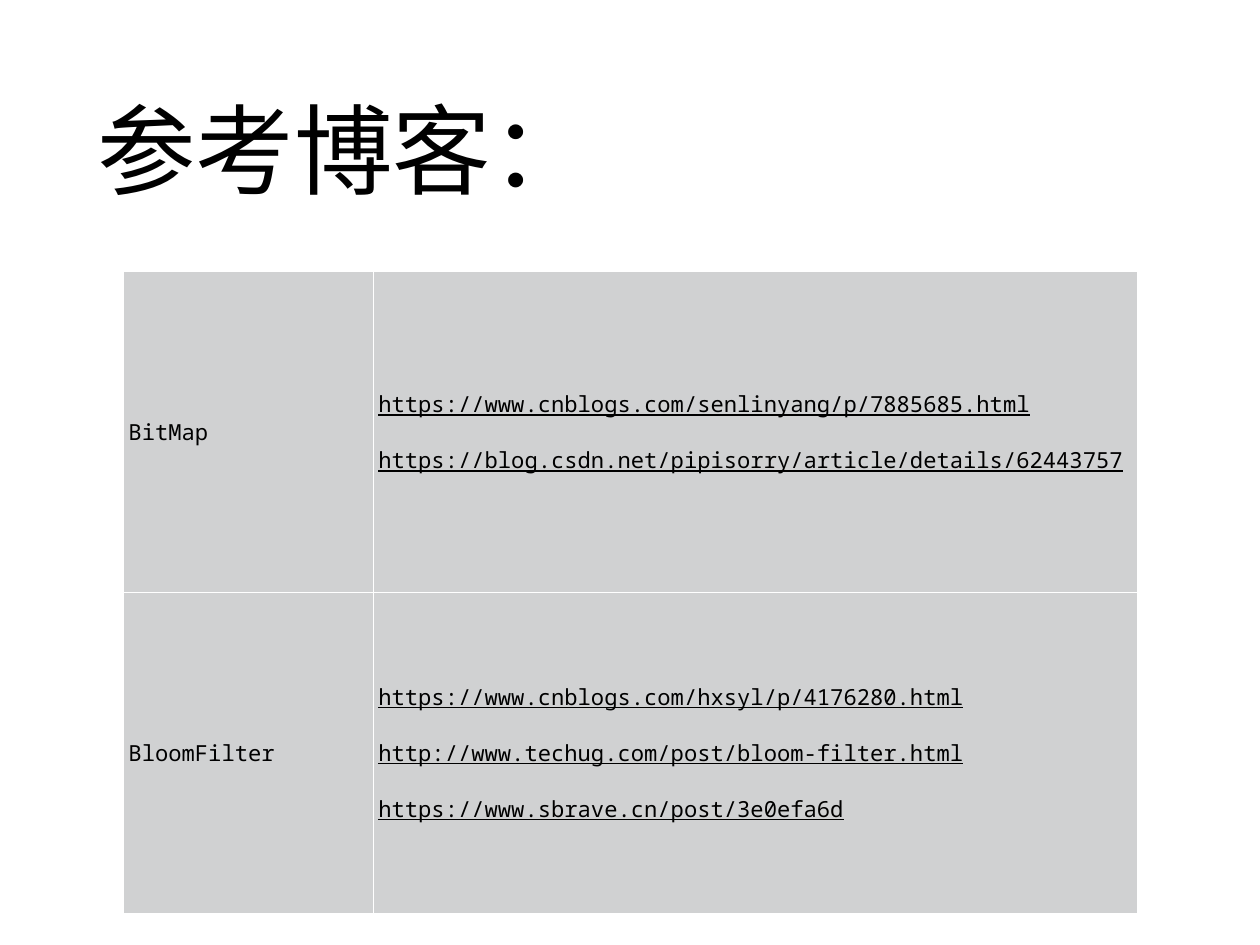
from lxml.etree import SubElement
from pptx import Presentation
from pptx.dml.color import RGBColor
from pptx.enum.text import MSO_ANCHOR as Anchor
from pptx.oxml.ns import qn
from pptx.util import Inches, Pt

BLACK, WHITE, GREY = "000000", "FFFFFF", "D0D1D2"
REFERENCES = [
    ("BitMap", [
        "https://www.cnblogs.com/senlinyang/p/7885685.html",
        "https://blog.csdn.net/pipisorry/article/details/62443757",
    ]),
    ("BloomFilter", [
        "https://www.cnblogs.com/hxsyl/p/4176280.html",
        "http://www.techug.com/post/bloom-filter.html",
        "https://www.sbrave.cn/post/3e0efa6d",
    ]),
]


def color(value):
    return RGBColor.from_string(value)


def write_span(para, text, font, size, underline=False):
    span = para.add_run()
    span.text = text
    span.font.name = font
    span.font.size = Pt(size)
    span.font.underline = underline
    span.font.color.rgb = color(BLACK)
    return span


def add_title(page, text):
    box = page.shapes.add_textbox(Inches(1.04), Inches(0.49), Inches(12.14), Inches(2.36))
    frame = box.text_frame
    frame.word_wrap = True
    frame.vertical_anchor = Anchor.MIDDLE
    frame.margin_left = frame.margin_right = Inches(0.06)
    frame.margin_top = frame.margin_bottom = Inches(0.06)
    span = write_span(frame.paragraphs[0], text, "Roboto", 80)
    SubElement(span.font._element, qn("a:ea"), typeface="Roboto")


def add_borders(cell):
    properties = cell._tc.get_or_add_tcPr()
    for index, side in enumerate(("a:lnL", "a:lnR", "a:lnT", "a:lnB")):
        line = properties.makeelement(qn(side), {"w": str(Pt(0.45))})
        fill = SubElement(line, qn("a:solidFill"))
        SubElement(fill, qn("a:srgbClr"), val=WHITE)
        properties.insert(index, line)


def fill_cell(cell, lines, underline=False):
    cell.fill.solid()
    cell.fill.fore_color.rgb = color(GREY)
    cell.vertical_anchor = Anchor.MIDDLE
    cell.margin_left = cell.margin_right = Inches(0.06)
    cell.margin_top = cell.margin_bottom = Inches(0.05)
    add_borders(cell)
    frame = cell.text_frame
    for index, text in enumerate(lines):
        para = frame.add_paragraph() if index else frame.paragraphs[0]
        if index:
            para.space_before = Pt(21)
        write_span(para, text, "Noto Sans Mono", 18, underline=underline)


def add_references(page):
    frame = page.shapes.add_table(
        len(REFERENCES), 2, Inches(1.39), Inches(3.06), Inches(11.44), Inches(7.24))
    table = frame.table
    table.first_row = table.horz_banding = False
    for column, width in zip(table.columns, (2.82, 8.62)):
        column.width = Inches(width)
    for index, (topic, links) in enumerate(REFERENCES):
        table.rows[index].height = Inches(3.62)
        fill_cell(table.cell(index, 0), [topic])
        fill_cell(table.cell(index, 1), links, underline=True)


def main():
    deck = Presentation()
    deck.slide_width, deck.slide_height = Inches(14.22), Inches(10.66)
    page = deck.slides.add_slide(deck.slide_layouts[6])
    add_title(page, "参考博客：")
    add_references(page)
    deck.save("out.pptx")


if __name__ == "__main__":
    main()
